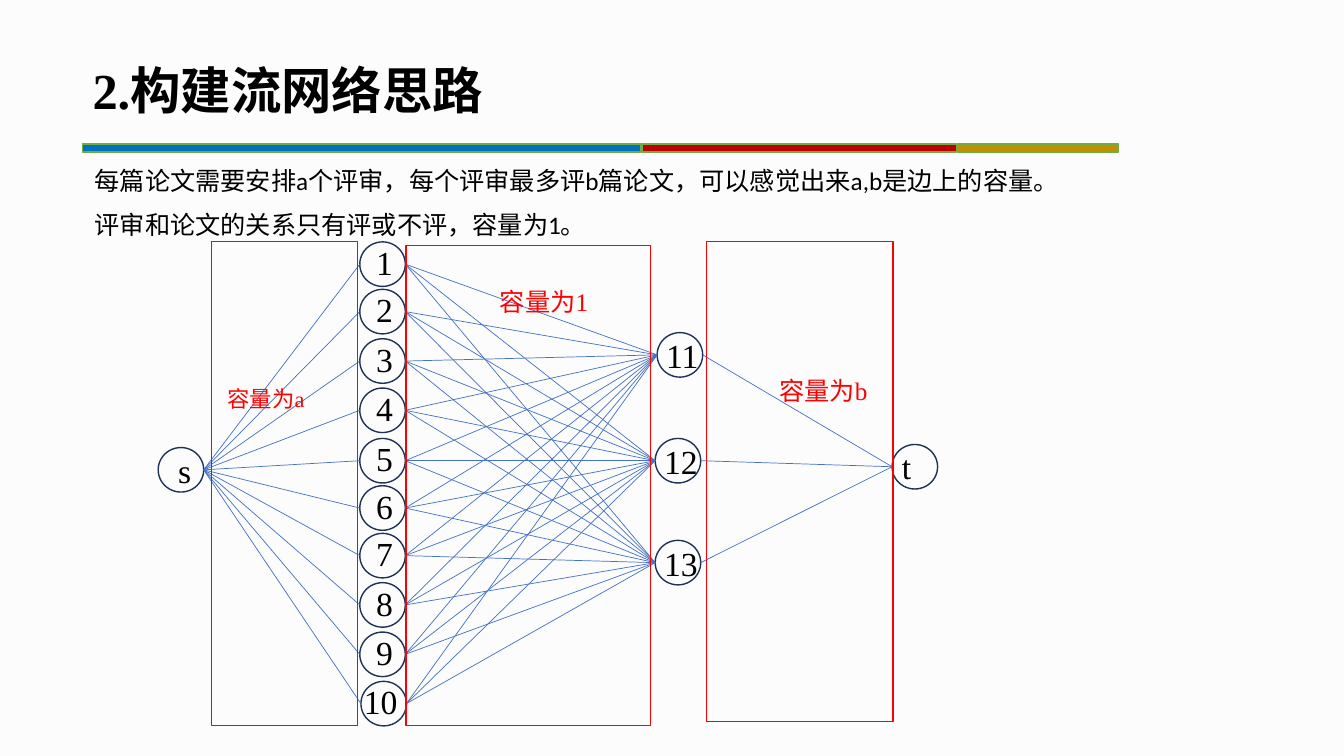
from dataclasses import dataclass

from lxml.etree import SubElement
from pptx import Presentation
from pptx.dml.color import RGBColor as Color
from pptx.enum.shapes import MSO_CONNECTOR as Connector, MSO_SHAPE as Shape
from pptx.oxml.ns import qn
from pptx.util import Pt


@dataclass(frozen=True)
class Theme:
    background: str = "FCFCFC"
    ink: str = "000000"
    red: str = "FF0000"
    node: str = "1E3256"
    edge: str = "4472C4"
    bar_line: str = "70AD47"
    bars: tuple = ("0070C0", "C00000", "BF9000")
    serif: str = "Times New Roman"
    sans: str = "Calibri"
    title_size: int = 36
    node_size: int = 24
    body_size: int = 18
    small_size: int = 16


@dataclass(frozen=True)
class Node:
    left: float
    top: float
    width: float = 32.5
    height: float = 31.8

    @property
    def entry(self):
        return self.left, self.top + self.height / 2

    @property
    def exit(self):
        return self.left + self.width, self.top + self.height / 2


class Painter:
    def __init__(self, page, theme):
        self.page = page
        self.theme = theme
        fill = page.background.fill
        fill.solid()
        fill.fore_color.rgb = Color.from_string(theme.background)

    def shape(self, kind, left, top, width, height, line, fill=None):
        shape = self.page.shapes.add_shape(kind, Pt(left), Pt(top), Pt(width), Pt(height))
        shape.shadow.inherit = False
        shape.line.color.rgb = Color.from_string(line)
        shape.line.width = Pt(1)
        if fill:
            shape.fill.solid()
            shape.fill.fore_color.rgb = Color.from_string(fill)
        else:
            shape.fill.background()

    def text(self, words, left, top, width, height, size, font=None, color=None, bold=False):
        box = self.page.shapes.add_textbox(Pt(left), Pt(top), Pt(width), Pt(height))
        box.text_frame.word_wrap = True
        span = box.text_frame.paragraphs[0].add_run()
        span.text = words
        span.font.name = font or self.theme.serif
        span.font.size = Pt(size)
        span.font.bold = bold
        span.font.color.rgb = Color.from_string(color or self.theme.ink)

    def node(self, node, name, shift, drop, width):
        self.shape(Shape.OVAL, node.left, node.top, node.width, node.height, self.theme.node)
        self.text(name, node.left + shift, node.top + drop, width, 36, self.theme.node_size)

    def edge(self, source, target):
        start, end = source.exit, target.entry
        line = self.page.shapes.add_connector(
            Connector.STRAIGHT, *(Pt(value) for value in start + end))
        line.line.color.rgb = Color.from_string(self.theme.edge)
        line.line.width = Pt(0.5)
        SubElement(line._element.spPr, qn("a:effectLst"))


def main():
    deck = Presentation()
    deck.slide_width, deck.slide_height = Pt(960), Pt(540)
    page = deck.slides.add_slide(deck.slide_layouts[6])
    theme = Theme()
    painter = Painter(page, theme)

    bar_spans = [(59, 399), (458.6, 224.6), (684, 115)]
    for (left, width), fill in zip(bar_spans, theme.bars):
        painter.shape(Shape.RECTANGLE, left, 103, width, 5.6, theme.bar_line, fill)

    painter.text("2.构建流网络思路", 59, 39, 707, 85, theme.title_size, bold=True)
    sentences = [
        ("每篇论文需要安排a个评审，每个评审最多评b篇论文，可以感觉出来a,b是边上的容量。", 114.5, 796),
        ("评审和论文的关系只有评或不评，容量为1。", 146.2, 383),
    ]
    for words, top, width in sentences:
        painter.text(words, 60.5, top, width, 29, theme.body_size, theme.sans)

    source = Node(113, 319.7)
    sink = Node(637.2, 317.5)
    paper_tops = [172.8, 206.7, 242, 277.2, 313.2, 347, 381, 416.2, 451.5, 486.7]
    papers = [Node(257, top) for top in paper_tops[:-1]] + [Node(257.8, paper_tops[-1])]
    reviewers = [Node(469.4, 237.6), Node(468, 313.2), Node(468, 386)]

    painter.node(source, "s", 7.2, -2.2, 19)
    for number, paper in enumerate(papers, 1):
        shift, width = (4.5, 24) if number < 10 else (-5, 44)
        painter.node(paper, str(number), shift, -3.6, width)
    for number, reviewer in enumerate(reviewers, 11):
        painter.node(reviewer, str(number), -0.7, -2, 44)
    painter.node(sink, "t", 0, -2.2, 46)

    for paper in papers:
        painter.edge(source, paper)
        for reviewer in reviewers:
            painter.edge(paper, reviewer)
    for reviewer in reviewers:
        painter.edge(reviewer, sink)

    frames = [(151, 172.6, 104.5, 345.6), (290, 175.2, 174.5, 343), (504.5, 172.6, 133.5, 343)]
    captions = [
        ("容量为a", 155.5, 271.5, 70.5, theme.small_size),
        ("容量为1", 350, 201, 78.5, theme.body_size),
        ("容量为b", 549.5, 264.5, 78.5, theme.body_size),
    ]
    for frame, (words, left, top, width, size) in zip(frames, captions):
        painter.shape(Shape.RECTANGLE, *frame, theme.red)
        painter.text(words, left, top, width, 29, size, color=theme.red)

    deck.save("out.pptx")


if __name__ == "__main__":
    main()
